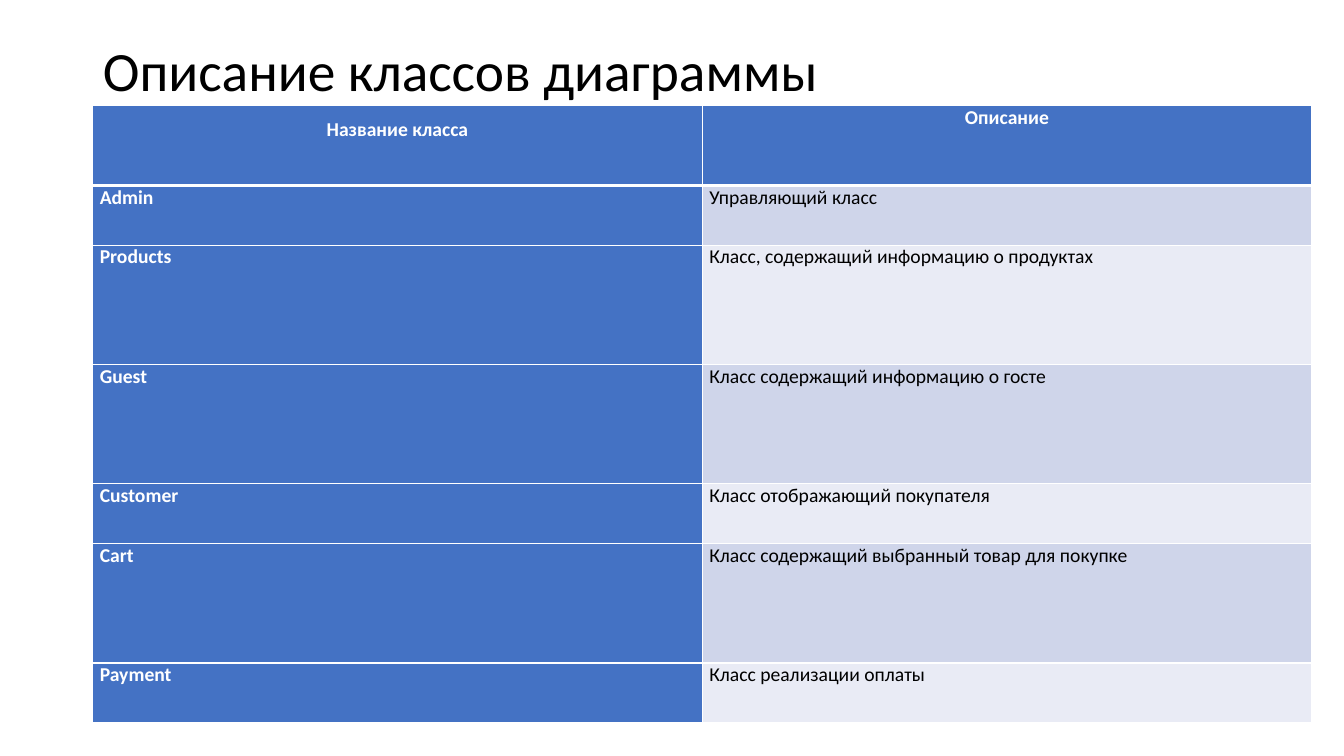
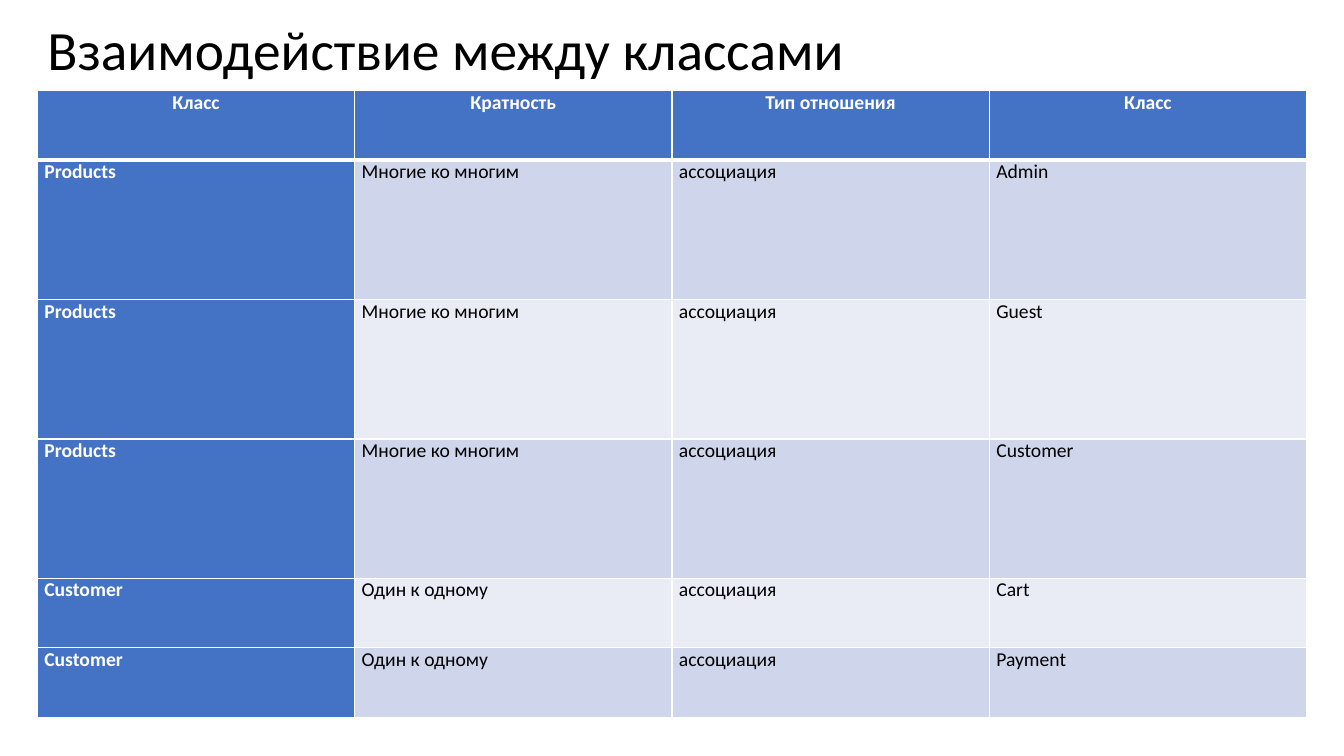
from dataclasses import dataclass

from lxml.etree import SubElement
from pptx import Presentation
from pptx.dml.color import RGBColor
from pptx.enum.text import MSO_ANCHOR, MSO_AUTO_SIZE, PP_ALIGN
from pptx.oxml.ns import qn
from pptx.slide import Slide
from pptx.table import Table, _Cell as Cell
from pptx.util import Inches, Pt

COLORS = {
    "title": "000000",
    "text": "000000",
    "accent": "4472C4",
    "on_accent": "FFFFFF",
    "border": "FFFFFF",
    "odd_row": "CFD5EA",
    "even_row": "E9EBF5",
}
FONT = "Calibri"
TITLE_ONLY = 5


@dataclass(frozen=True)
class ClassRow:
    cells: tuple[str, ...]
    units: int  # height in multiples of the shortest body row


@dataclass(frozen=True)
class TableSlide:
    title: str
    left: float
    title_top: float
    title_height: float
    table_top: float
    table_width: float
    table_height: float
    header_height: float
    header: tuple[str, ...]
    rows: tuple[ClassRow, ...]
    body_align: PP_ALIGN
    spaced_first_header: bool = False


SLIDES = (
    TableSlide(
        title="Описание классов диаграммы",
        left=0.92, title_top=0.4, title_height=0.65,
        table_top=1.05, table_width=12.09, table_height=6.12, header_height=0.79,
        header=("Название класса", "Описание"),
        rows=(
            ClassRow(("Admin", "Управляющий класс"), 1),
            ClassRow(("Products", "Класс, содержащий информацию о продуктах"), 2),
            ClassRow(("Guest", "Класс содержащий информацию о госте"), 2),
            ClassRow(("Customer", "Класс отображающий покупателя"), 1),
            ClassRow(("Cart", "Класс содержащий выбранный товар для покупке"), 2),
            ClassRow(("Payment", "Класс реализации оплаты"), 1),
        ),
        body_align=PP_ALIGN.LEFT,
        spaced_first_header=True,
    ),
    TableSlide(
        title="Взаимодействие между классами",
        left=0.37, title_top=0.16, title_height=0.73,
        table_top=0.9, table_width=12.59, table_height=6.22, header_height=0.69,
        header=("Класс", "Кратность", "Тип отношения", "Класс"),
        rows=(
            ClassRow(("Products", "Многие ко многим", "ассоциация", "Admin"), 2),
            ClassRow(("Products", "Многие ко многим", "ассоциация", "Guest"), 2),
            ClassRow(("Products", "Многие ко многим", "ассоциация", "Customer"), 2),
            ClassRow(("Customer", "Один к одному", "ассоциация", "Cart"), 1),
            ClassRow(("Customer", "Один к одному", "ассоциация", "Payment"), 1),
        ),
        body_align=PP_ALIGN.JUSTIFY,
    ),
)


def color(key: str) -> RGBColor:
    return RGBColor.from_string(COLORS[key])


def add_title(slide: Slide, content: TableSlide) -> None:
    title = slide.shapes.title
    title.left, title.top = Inches(content.left), Inches(content.title_top)
    title.width, title.height = Inches(11.5), Inches(content.title_height)
    frame = title.text_frame
    frame.text = content.title
    frame.auto_size = MSO_AUTO_SIZE.NONE
    frame.vertical_anchor = MSO_ANCHOR.MIDDLE
    paragraph = frame.paragraphs[0]
    paragraph.alignment = PP_ALIGN.LEFT
    paragraph.line_spacing = 0.9
    font = paragraph.runs[0].font
    font.name, font.size = FONT, Pt(39.6)
    font.color.rgb = color("title")


def set_borders(cell: Cell, row: int) -> None:
    """Draw thin borders, with a thick rule between header and body."""
    widths = {
        "a:lnL": 1,
        "a:lnR": 1,
        "a:lnT": 3 if row == 1 else 1,
        "a:lnB": 3 if row == 0 else 1,
    }
    properties = cell._tc.get_or_add_tcPr()
    for tag, width in widths.items():
        line = SubElement(properties, qn(tag), w=str(Pt(width)))
        fill = SubElement(line, qn("a:solidFill"))
        SubElement(fill, qn("a:srgbClr"), val=COLORS["border"])


def fill_cell(cell: Cell, text: str, row: int, column: int, align: PP_ALIGN) -> None:
    emphasized = row == 0 or column == 0
    stripe = "odd_row" if row % 2 else "even_row"
    set_borders(cell, row)
    cell.fill.solid()
    cell.fill.fore_color.rgb = color("accent" if emphasized else stripe)
    cell.margin_left = cell.margin_right = Inches(0.07)
    cell.margin_top = cell.margin_bottom = 0
    cell.text_frame.text = text
    paragraph = cell.text_frame.paragraphs[0]
    paragraph.alignment = align
    font = paragraph.runs[0].font
    font.name, font.size, font.bold = FONT, Pt(14), emphasized
    font.color.rgb = color("on_accent" if emphasized else "text")


def add_class_table(slide: Slide, content: TableSlide) -> Table:
    lines = (content.header, *(row.cells for row in content.rows))
    table = slide.shapes.add_table(
        len(lines), len(content.header),
        Inches(content.left), Inches(content.table_top),
        Inches(content.table_width), Inches(content.table_height),
    ).table
    table.first_col = True

    body_height = content.table_height - content.header_height
    unit = body_height / sum(row.units for row in content.rows)
    heights = (content.header_height, *(row.units * unit for row in content.rows))
    for table_row, height in zip(table.rows, heights):
        table_row.height = Inches(height)

    for row, texts in enumerate(lines):
        align = PP_ALIGN.CENTER if row == 0 else content.body_align
        for column, text in enumerate(texts):
            fill_cell(table.cell(row, column), text, row, column, align)
    return table


def add_table_slide(presentation: Presentation, content: TableSlide) -> None:
    slide = presentation.slides.add_slide(presentation.slide_layouts[TITLE_ONLY])
    add_title(slide, content)
    table = add_class_table(slide, content)
    if content.spaced_first_header:
        first_header = table.cell(0, 0).text_frame.paragraphs[0]
        first_header.line_spacing = 1.5
        first_header.space_after = Pt(8)


def main() -> None:
    presentation = Presentation()
    presentation.slide_width = Inches(13.33)
    presentation.slide_height = Inches(7.5)
    for content in SLIDES:
        add_table_slide(presentation, content)
    presentation.save("out.pptx")


if __name__ == "__main__":
    main()
